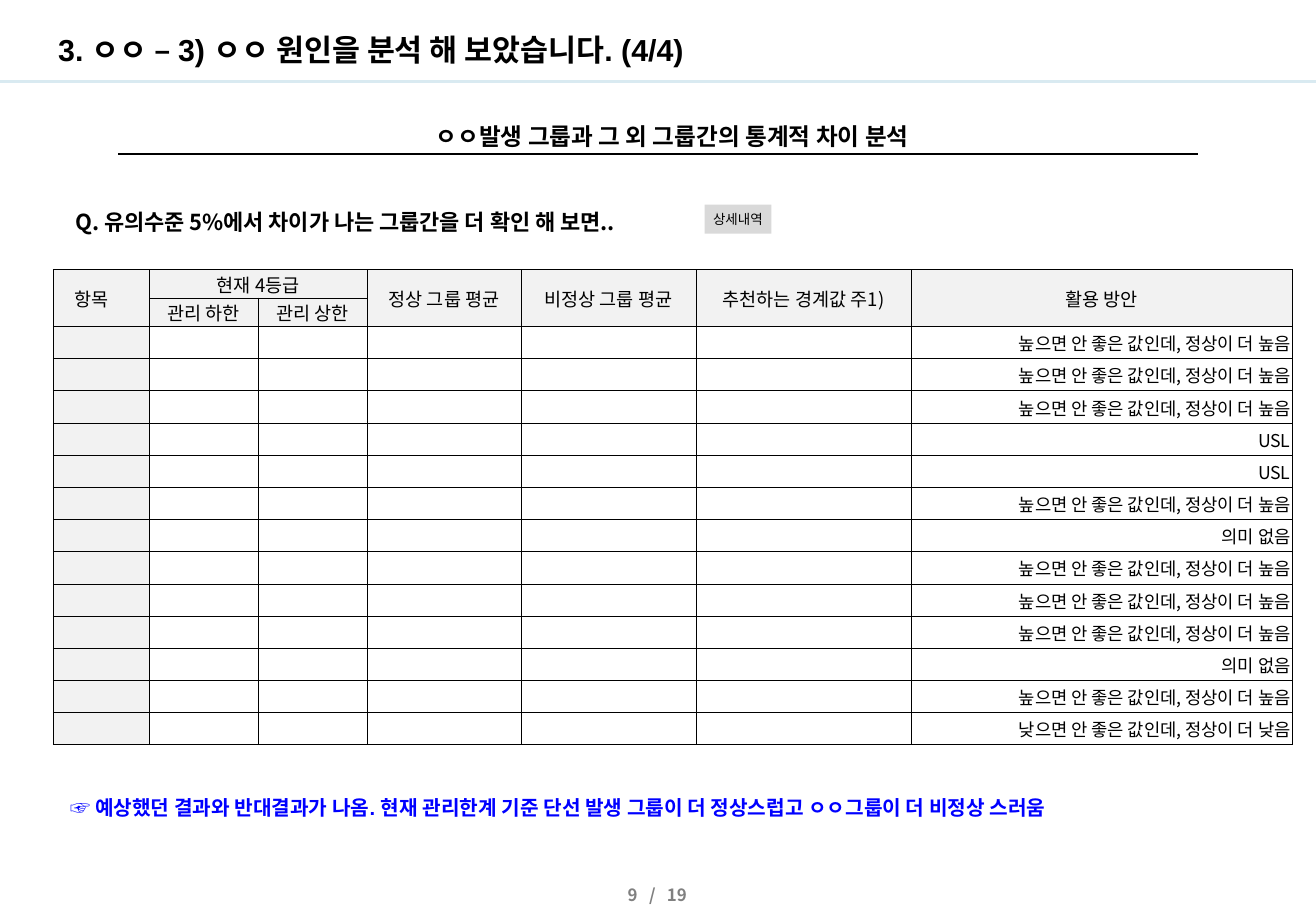
from dataclasses import dataclass
from lxml.etree import SubElement
from pptx import Presentation
from pptx.dml.color import RGBColor as RGB
from pptx.enum.shapes import MSO_CONNECTOR as Connector, MSO_SHAPE as Preset
from pptx.enum.text import MSO_ANCHOR as Anchor, PP_ALIGN as Align
from pptx.oxml.ns import qn
from pptx.util import Pt


@dataclass(frozen=True)
class Theme:
    korean: str = "Noto Sans CJK KR"
    latin: str = "Arial"
    button_font: str = "Calibri"
    black: str = "000000"
    white: str = "FFFFFF"
    blue: str = "0000FF"
    grey: str = "808080"
    button: str = "D9D9D9"
    header: str = "F2F2F2"
    rule: str = "D9EAF1"
    title_size: float = 18
    heading_size: float = 14
    question_size: float = 13
    note_size: float = 12
    header_size: float = 11
    body_size: float = 10.5
    page_size: float = 10
    button_size: float = 8


class SlideBuilder:
    def __init__(self, slide, theme):
        self.slide = slide
        self.theme = theme

    def run(self, paragraph, text, size, color, font=None, bold=False, spacing=0):
        run = paragraph.add_run()
        run.text = text
        run.font.size = Pt(size)
        run.font.bold = bold
        run.font.color.rgb = RGB.from_string(color)
        run.font.name = font or self.theme.korean
        properties = run._r.get_or_add_rPr()
        SubElement(properties, qn("a:ea"), typeface=self.theme.korean)
        # Pair kerning off, so that word gaps keep their full width
        properties.set("kern", "0")
        if spacing:
            properties.set("spc", str(int(spacing * 100)))

    def frame(self, holder, frame, insets, anchor, align, line_spacing=None):
        """Margins and anchor belong to a text frame or to a table cell."""
        (holder.margin_left, holder.margin_top,
         holder.margin_right, holder.margin_bottom) = map(Pt, insets)
        holder.vertical_anchor = anchor
        frame.word_wrap = True
        paragraph = frame.paragraphs[0]
        paragraph.alignment = align
        if line_spacing:
            paragraph.line_spacing = line_spacing
        return paragraph

    def text(self, box, line_spacing, align=Align.LEFT, anchor=Anchor.TOP,
             insets=(7.2, 3.6, 7.2, 3.6)):
        frame = self.slide.shapes.add_textbox(*map(Pt, box)).text_frame
        return self.frame(frame, frame, insets, anchor, align, line_spacing)

    def line(self, left, right, y, color, width):
        line = self.slide.shapes.add_connector(
            Connector.STRAIGHT, Pt(left), Pt(y), Pt(right), Pt(y))
        line.line.color.rgb = RGB.from_string(color)
        line.line.width = Pt(width)
        SubElement(line._element.spPr, qn("a:effectLst"))

    def button(self, box, label):
        theme = self.theme
        button = self.slide.shapes.add_shape(Preset.RECTANGLE, *map(Pt, box))
        button.shadow.inherit = False
        button.fill.solid()
        button.fill.fore_color.rgb = RGB.from_string(theme.button)
        button.line.fill.background()
        frame = button.text_frame
        paragraph = self.frame(frame, frame, (0, 0, 0, 0), Anchor.MIDDLE, Align.CENTER)
        self.run(paragraph, label, theme.button_size, theme.black, theme.button_font)

    def cell(self, cell, text, fill, size, align, right=0.75):
        paragraph = self.frame(cell, cell.text_frame, (0.75, 0.75, right, 0),
                               Anchor.MIDDLE, align)
        if text:
            self.run(paragraph, text, size, self.theme.black)
        else:
            SubElement(paragraph._p, qn("a:endParaRPr"), sz=str(int(size * 100)))
        # Borders come before the fill in the cell properties
        properties = cell._tc.get_or_add_tcPr()
        for side in ("lnL", "lnR", "lnT", "lnB"):
            border = SubElement(properties, qn(f"a:{side}"), w=str(Pt(0.25)))
            solid = SubElement(border, qn("a:solidFill"))
            SubElement(solid, qn("a:srgbClr"), val=self.theme.black)
        cell.fill.solid()
        cell.fill.fore_color.rgb = RGB.from_string(fill)

    def table(self, left, top, widths, heights, headers, merges, usages):
        theme = self.theme
        table = self.slide.shapes.add_table(
            len(heights), len(widths), Pt(left), Pt(top),
            Pt(sum(widths)), Pt(sum(heights))).table
        table.first_row = table.horz_banding = False
        for column, width in zip(table.columns, widths):
            column.width = Pt(width)
        for row, height in zip(table.rows, heights):
            row.height = Pt(height)
        for r, labels in enumerate(headers):
            for c, label in enumerate(labels):
                # The item label sits left of centre
                right = 11.75 if label == "항목" else 0.75
                self.cell(table.cell(r, c), label, theme.header,
                          theme.header_size, Align.CENTER, right)
        for r, usage in enumerate(usages, start=len(headers)):
            for c in range(len(widths)):
                text = usage if c == len(widths) - 1 else ""
                fill = theme.header if c == 0 else theme.white
                self.cell(table.cell(r, c), text, fill, theme.body_size, Align.RIGHT)
        for first, last in merges:
            table.cell(*first).merge(table.cell(*last))


def main():
    theme = Theme()
    deck = Presentation()
    deck.slide_width, deck.slide_height = Pt(780), Pt(540)
    page = SlideBuilder(deck.slides.add_slide(deck.slide_layouts[6]), theme)

    # Title and rule
    page.line(0, 780, 48.2, theme.rule, 2)
    title = page.text((27.4, 16.6, 712.8, 28), 0.9, anchor=Anchor.MIDDLE)
    for part, font in (("3. ㅇㅇ ", theme.latin), ("–", theme.korean),
                       (" 3) ㅇㅇ 원인을 분석 해 보았습니다. (4/4)", theme.latin)):
        page.run(title, part, theme.title_size, theme.black, font, bold=True)

    # Underlined heading
    heading = page.text((10, 65.5, 777, 27.4), 1.2, Align.CENTER)
    page.run(heading, "ㅇㅇ발생 그룹과 그 외 그룹간의 통계적 차이 분석",
             theme.heading_size, theme.black, bold=True)
    page.line(70, 710, 91.4, theme.black, 1)

    # Question and detail button
    question = page.text((38.9, 117.4, 378.7, 24.5), 1.2, insets=(5.76, 2.88, 2.88, 2.88))
    page.run(question, "Q. 유의수준 5%에서 차이가 나는 그룹간을 더 확인 해 보면..",
             theme.question_size, theme.black, bold=True)
    page.button((417.6, 121.3, 39.6, 17.3), "상세내역")

    # Comparison table
    higher = "높으면 안 좋은 값인데, 정상이 더 높음"
    lower = "낮으면 안 좋은 값인데, 정상이 더 낮음"
    none = "의미 없음"
    usages = [higher] * 3 + ["USL"] * 2 + [higher, none] + [higher] * 3 + [none, higher, lower]
    headers = [
        ["항목", "현재 4등급", "", "정상 그룹 평균", "비정상 그룹 평균",
         "추천하는 경계값 주1)", "활용 방안"],
        ["", "관리 하한", "관리 상한", "", "", "", ""],
    ]
    merges = [((0, 1), (0, 2))] + [((0, c), (1, c)) for c in (0, 3, 4, 5, 6)]
    page.table(31.5, 159.6, [57, 64.6, 64.6, 91.2, 103.7, 127.4, 225.8],
               [16.9] * 2 + [19.1] * len(usages), headers, merges, usages)

    # Conclusion
    note = page.text((34.6, 460.8, 715, 28.8), 1.5)
    page.run(note, "☞ ", theme.note_size, theme.blue, bold=True)
    page.run(note, "예상했던 결과와 반대결과가 나옴. 현재 관리한계 기준 단선 발생 그룹이 "
             "더 정상스럽고 ㅇㅇ그룹이 더 비정상 스러움",
             theme.note_size, theme.blue, theme.latin, bold=True)

    # Page number with wide gaps around the slash
    number = page.text((332, 518.4, 115.2, 18), 1.2, Align.CENTER)
    for part, spacing in (("9", 0), (" ", 4.5), ("/", 0), (" ", 4.5), ("19", 0)):
        page.run(number, part, theme.page_size, theme.grey, bold=True, spacing=spacing)

    deck.save("out.pptx")


if __name__ == "__main__":
    main()
